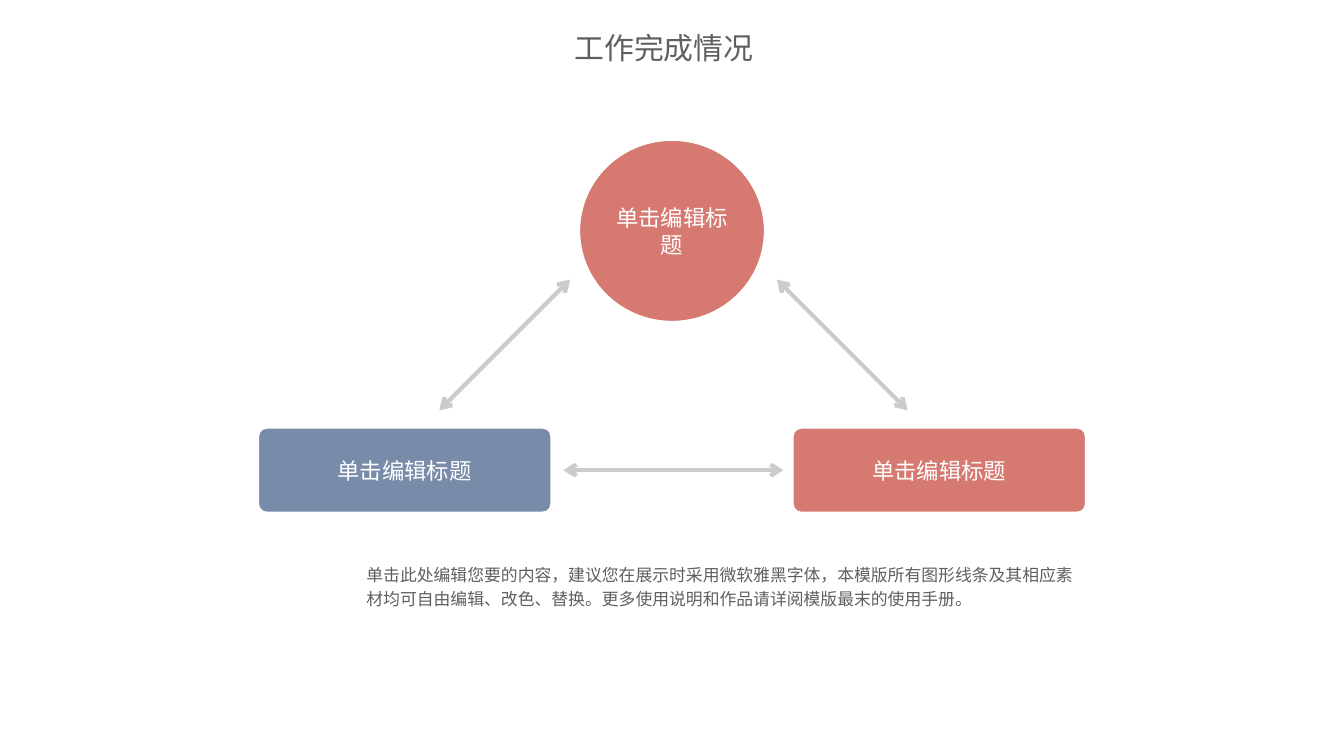
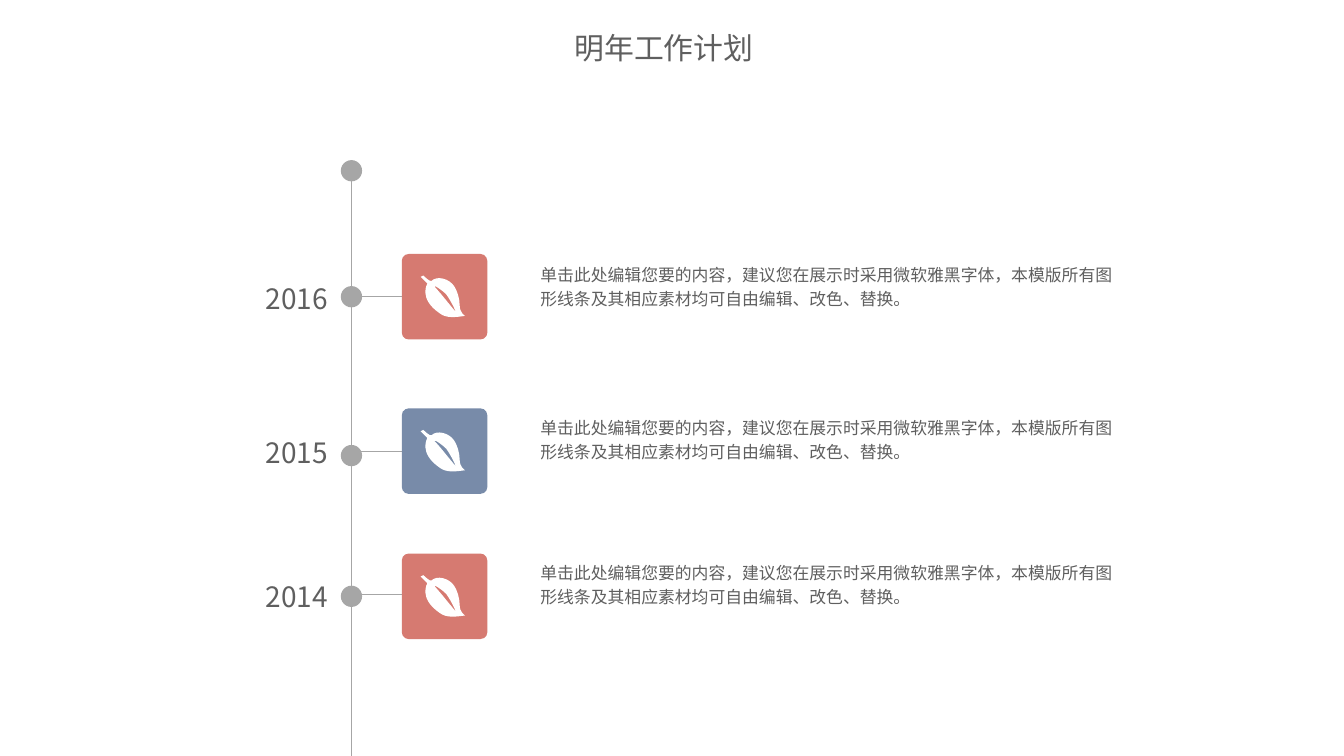
from collections import namedtuple

from lxml import etree
from pptx import Presentation
from pptx import util as u
from pptx.dml.color import RGBColor
from pptx.enum import shapes, text
from pptx.oxml.ns import qn

Pt = u.Pt
Box = namedtuple("Box", "left top width height")
Year = namedtuple("Year", "label top fill dot_shift spoke_shift label_drop body_drop")

FONT = "Noto Sans CJK SC"
INK, WHITE = "5F5F5F", "FFFFFF"
RED, BLUE = "D67A71", "788BA9"
ARROW_GREY, AXIS_GREY = "CBCBCB", "A6A6A6"
TITLE_BOX = Box(300.6, 12.2, 116, 26.6)

LABEL = "单击编辑标题"
PLAN = "单击此处编辑您要的内容，建议您在展示时采用微软雅黑字体，本模版所有图形线条及其相应素材均可自由编辑、改色、替换。"
SUMMARY = PLAN + "更多使用说明和作品请详阅模版最末的使用手册。"
YEARS = (
    Year("2016", 136.1, RED, 0, 0, 11.2, 0),
    Year("2015", 218.8, BLUE, 2.4, 0, 11, -0.8),
    Year("2014", 296.6, RED, 0, -0.8, 10.2, -0.8),
)

LEAF_UNIT = 0.72
LEAF_BODY = ((43, 38), [
    ((43, 33), (41, 27), (39, 24)),
    ((35, 18), (26, 16), (22, 20)),
    ((21, 21), (16, 16), (16, 16)),
    ((14, 17), (14, 17), (14, 17)),
    ((19, 22), (19, 22), (19, 22)),
    ((19, 22), (12, 33), (28, 44)),
    ((33, 48), (40, 47), (47, 46)),
    ((47, 46), (43, 44), (43, 38)),
])
LEAF_VEIN = ((40, 43), [
    ((40, 43), (35, 37), (31, 32)),
    ((26, 26), (25, 25), (25, 25)),
    ((24, 25), (24, 24), (25, 24)),
    ((25, 24), (29, 26), (33, 30)),
    ((36, 34), (40, 42), (40, 43)),
])


def colour(hex_string):
    return RGBColor.from_string(hex_string)


def lengths(box):
    return [Pt(value) for value in box]


def format_text(frame, size, ink, alignment=text.PP_ALIGN.LEFT):
    for paragraph in frame.paragraphs:
        paragraph.alignment = alignment
        for run in paragraph.runs:
            run.font.size = Pt(size)
            run.font.name = FONT
            run.font.color.rgb = colour(ink)
            east_asian = etree.SubElement(run.font._element, qn("a:ea"))
            east_asian.set("typeface", FONT)


def add_text(slide, box, words, size):
    frame = slide.shapes.add_textbox(*lengths(box)).text_frame
    frame.word_wrap = True
    frame.auto_size = text.MSO_AUTO_SIZE.SHAPE_TO_FIT_TEXT
    frame.text = words
    format_text(frame, size, INK)
    return frame


def add_body(slide, box, words):
    paragraph = add_text(slide, box, words, 9).paragraphs[0]
    paragraph.line_spacing = 1.2
    paragraph.space_before = Pt(1.8)


def paint(shape, fill, outline=None):
    shape.shadow.inherit = False
    shape.fill.solid()
    shape.fill.fore_color.rgb = colour(fill)
    if outline:
        shape.line.color.rgb = colour(outline)
        shape.line.width = Pt(1)
    else:
        shape.line.fill.background()


def add_shape(parent, kind, box, fill, outline=None, corner=None):
    shape = parent.shapes.add_shape(kind, *lengths(box))
    paint(shape, fill, outline)
    if corner is not None:
        shape.adjustments[0] = corner
    return shape


def add_label(shape, inset):
    frame = shape.text_frame
    frame.word_wrap = True
    frame.margin_left = frame.margin_right = Pt(inset)
    frame.margin_top = frame.margin_bottom = Pt(inset)
    frame.vertical_anchor = text.MSO_ANCHOR.MIDDLE
    frame.text = LABEL
    format_text(frame, 12, WHITE, text.PP_ALIGN.CENTER)


def add_line(parent, start, end, ink, width, arrows=False):
    connector = parent.shapes.add_connector(
        shapes.MSO_CONNECTOR.STRAIGHT, *lengths(start + end))
    connector.line.color.rgb = colour(ink)
    connector.line.width = Pt(width)
    if arrows:
        line = connector.line._get_or_add_ln()
        for tag in ("a:headEnd", "a:tailEnd"):
            etree.SubElement(line, qn(tag)).set("type", "arrow")
    etree.SubElement(connector._element.spPr, qn("a:effectLst"))


def add_dot(parent, x, y, size=11.4):
    add_shape(parent, shapes.MSO_SHAPE.OVAL,
              Box(x - size / 2, y - size / 2, size, size), AXIS_GREY)


def curve_segments(shape):
    nodes = list(shape._element.iter(qn("a:lnTo")))
    for first in range(0, len(nodes), 3):
        curve = etree.Element(qn("a:cubicBezTo"))
        nodes[first].addprevious(curve)
        for node in nodes[first:first + 3]:
            curve.append(node[0])
            node.getparent().remove(node)


def add_leaf(parent, box):
    def place(point):
        return (Pt(box.left + point[0] * LEAF_UNIT), Pt(box.top + point[1] * LEAF_UNIT))

    builder = parent.shapes.build_freeform(*place(LEAF_BODY[0]), scale=1.0)
    for start, curves in (LEAF_BODY, LEAF_VEIN):
        if start != LEAF_BODY[0]:
            builder.move_to(*place(start))
        builder.add_line_segments(
            [place(point) for curve in curves for point in curve], close=True)
    leaf = builder.convert_to_shape()
    curve_segments(leaf)
    paint(leaf, WHITE)


def add_titled_slide(presentation, words):
    slide = presentation.slides.add_slide(presentation.slide_layouts[5])
    title = slide.shapes.title
    title.left, title.top, title.width, title.height = lengths(TITLE_BOX)
    frame = title.text_frame
    frame.text = words
    frame.word_wrap = True
    frame.auto_size = text.MSO_AUTO_SIZE.SHAPE_TO_FIT_TEXT
    frame.vertical_anchor = text.MSO_ANCHOR.TOP
    format_text(frame, 16, INK)
    return slide


def draw_triangle(slide, box):
    centre = box.left + box.width / 2
    right, bottom = box.left + box.width, box.top + box.height
    circle_width, circle_height = 99.4, 97.4
    card_width, card_height = 157, 45.4
    card_top = bottom - card_height

    circle = add_shape(
        slide, shapes.MSO_SHAPE.OVAL,
        Box(centre - circle_width / 2, box.top, circle_width, circle_height), RED, WHITE)
    add_label(circle, 4)
    for left, fill in ((right - card_width, RED), (box.left, BLUE)):
        card = add_shape(
            slide, shapes.MSO_SHAPE.ROUNDED_RECTANGLE,
            Box(left, card_top, card_width, card_height), fill, WHITE, 0.1)
        add_label(card, 5)

    arrow_centre = centre + 0.8
    for side in (-1, 1):
        add_line(slide, (arrow_centre + side * 55.4, box.top + 74.8),
                 (arrow_centre + side * 125.4, box.top + 144.8), ARROW_GREY, 2.25, True)
    middle = card_top + card_height / 2
    add_line(slide, (box.left + card_width + 6.5, middle),
             (right - card_width - 5, middle), ARROW_GREY, 2.25, True)


def draw_axis(slide, box, dot_heights):
    group = slide.shapes.add_group_shape()
    centre, first = box.left + box.width / 2, box.top + box.width / 2
    add_line(group, (centre, first), (centre, box.top + box.height), AXIS_GREY, 0.5)
    for height in (first, *dot_heights):
        add_dot(group, centre, height, box.width)


def draw_year(slide, box, year):
    spoke = box.top + box.height / 2 + year.spoke_shift
    tile = Box(box.left + 79.9, box.top, box.height, box.height)
    add_text(slide, Box(box.left, box.top + year.label_drop, 50.4, 25.2), year.label, 15)
    group = slide.shapes.add_group_shape()
    add_line(group, (box.left + 52.8, spoke), (tile.left, spoke), AXIS_GREY, 0.5)
    add_shape(group, shapes.MSO_SHAPE.ROUNDED_RECTANGLE, tile, year.fill, corner=0.08)
    add_leaf(group, tile)
    body_left = box.left + 147
    add_body(slide, Box(body_left, box.top + year.body_drop,
                        box.left + box.width - body_left, 33.1), PLAN)


def build_completion(presentation):
    slide = add_titled_slide(presentation, "工作完成情况")
    draw_triangle(slide, Box(138.3, 75, 443.4, 199.6))
    add_body(slide, Box(189.2, 296.6, 392.4, 33.1), SUMMARY)


def build_plan(presentation):
    slide = add_titled_slide(presentation, "明年工作计划")
    size = 45.8
    draw_axis(slide, Box(182.6, 85.8, 11.4, 319.2),
              [year.top + size / 2 + year.dot_shift for year in YEARS])
    for year in YEARS:
        draw_year(slide, Box(135.4, year.top, 473, size), year)


def main():
    presentation = Presentation()
    presentation.slide_width, presentation.slide_height = Pt(720), Pt(405)
    build_completion(presentation)
    build_plan(presentation)
    presentation.save("out.pptx")


if __name__ == "__main__":
    main()
